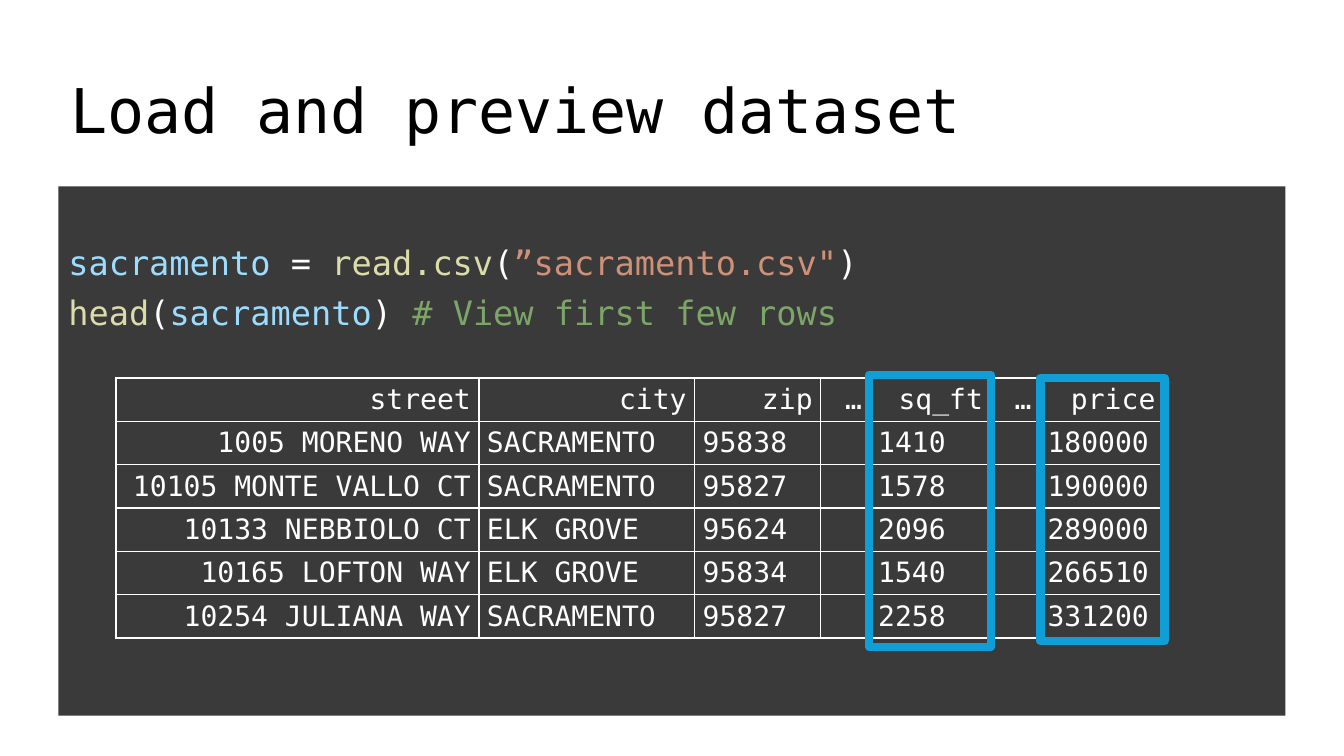
from lxml import etree
from pptx import Presentation
from pptx import util as u
from pptx.dml.color import RGBColor
from pptx.enum import shapes, text
from pptx.oxml import ns

PX = 9144
FONT = "DejaVu Sans Mono"
BLACK, WHITE, PANEL, HIGHLIGHT = "000000", "FFFFFF", "3A3A3A", "0F9ED5"
VARIABLE, FUNCTION, STRING, COMMENT = "9CDCFE", "DCDCAA", "CE9178", "7CA668"

CODE = [
    [("sacramento ", VARIABLE), ("= ", WHITE), ("read.csv", FUNCTION),
     ("(", WHITE), ("”sacramento.csv\"", STRING), (")", WHITE)],
    [("head", FUNCTION), ("(", WHITE), ("sacramento", VARIABLE),
     (") ", WHITE), ("# View first few rows", COMMENT)],
]
COLUMN_WIDTHS = [360, 214, 125, 49, 120, 48, 123]
ROW_HEIGHT = 43
HOUSES = [
    ["street", "city", "zip", "…", "sq_ft", "…", "price"],
    ["1005 MORENO WAY", "SACRAMENTO", "95838", "", "1410", "", "180000"],
    ["10105 MONTE VALLO CT", "SACRAMENTO", "95827", "", "1578", "", "190000"],
    ["10133 NEBBIOLO CT", "ELK GROVE", "95624", "", "2096", "", "289000"],
    ["10165 LOFTON WAY", "ELK GROVE", "95834", "", "1540", "", "266510"],
    ["10254 JULIANA WAY", "SACRAMENTO", "95827", "", "2258", "", "331200"],
]


def px(*lengths):
    return [u.Emu(length * PX) for length in lengths]


def color(value):
    return RGBColor.from_string(value)


def apply(target, values):
    for name, value in values.items():
        setattr(target, name, value)


class SlideBuilder:
    """Builds the elements of one slide in a shared style."""

    def __init__(self, presentation):
        self.slide = presentation.slides.add_slide(presentation.slide_layouts[5])

    def fill_paragraph(self, paragraph, runs, size, **layout):
        apply(paragraph, layout)
        for words, shade in runs:
            run = paragraph.add_run()
            run.text = words
            apply(run.font, {"name": FONT, "size": u.Pt(size)})
            run.font.color.rgb = color(shade)

    def title(self, words, box):
        title = self.slide.shapes.title
        apply(title, dict(zip(("left", "top", "width", "height"), px(*box))))
        apply(title.text_frame, {
            "vertical_anchor": text.MSO_ANCHOR.MIDDLE,
            "auto_size": text.MSO_AUTO_SIZE.NONE,
            "word_wrap": True,
        })
        self.fill_paragraph(
            title.text_frame.paragraphs[0], [(words, BLACK)], 44,
            alignment=text.PP_ALIGN.LEFT, line_spacing=0.9)

    def rectangle(self, box, fill=None, line=None, width=0):
        shape = self.slide.shapes.add_shape(
            shapes.MSO_SHAPE.RECTANGLE, *px(*box))
        shape.shadow.inherit = False
        if fill:
            shape.fill.solid()
            shape.fill.fore_color.rgb = color(fill)
        else:
            shape.fill.background()
        if line:
            shape.line.color.rgb = color(line)
            shape.line.width = u.Pt(width)
        else:
            shape.line.fill.background()
        return shape

    def code(self, lines, box, top_inset):
        frame = self.rectangle(box, fill=PANEL).text_frame
        apply(frame, {
            "vertical_anchor": text.MSO_ANCHOR.TOP,
            "word_wrap": True,
            "margin_top": px(top_inset)[0],
        })
        for index, runs in enumerate(lines):
            paragraph = frame.add_paragraph() if index else frame.paragraphs[0]
            self.fill_paragraph(
                paragraph, runs, 24, alignment=text.PP_ALIGN.LEFT,
                line_spacing=0.9, space_before=u.Pt(10 if index else 0))

    def borders(self, cell):
        properties = cell._tc.get_or_add_tcPr()
        for index, side in enumerate(("lnL", "lnR", "lnT", "lnB")):
            line = etree.Element(ns.qn(f"a:{side}"), w=str(u.Pt(1)))
            fill = etree.SubElement(line, ns.qn("a:solidFill"))
            etree.SubElement(fill, ns.qn("a:srgbClr"), val=WHITE)
            properties.insert(index, line)

    def table(self, rows, left, top):
        box = (left, top, sum(COLUMN_WIDTHS), ROW_HEIGHT * len(rows))
        table = self.slide.shapes.add_table(
            len(rows), len(COLUMN_WIDTHS), *px(*box)).table
        apply(table, {"first_row": False, "horz_banding": False})
        for column, width in zip(table.columns, px(*COLUMN_WIDTHS)):
            column.width = width
        for row_index, row in enumerate(rows):
            table.rows[row_index].height = px(ROW_HEIGHT)[0]
            for column_index, words in enumerate(row):
                cell = table.cell(row_index, column_index)
                side, edge = px(8, 4)
                apply(cell, {
                    "vertical_anchor": text.MSO_ANCHOR.MIDDLE,
                    "margin_left": side, "margin_right": side,
                    "margin_top": edge, "margin_bottom": edge,
                })
                cell.fill.background()
                self.borders(cell)
                right = row_index == 0 or column_index == 0
                align = text.PP_ALIGN.RIGHT if right else text.PP_ALIGN.LEFT
                runs = [(words, WHITE)] if words else []
                self.fill_paragraph(cell.text_frame.paragraphs[0], runs, 20,
                                    alignment=align)


def main():
    presentation = Presentation()
    width, height = px(1333, 750)
    apply(presentation, {"slide_width": width, "slide_height": height})
    builder = SlideBuilder(presentation)
    builder.title("Load and preview dataset", (60, 40, 1214, 145))
    builder.code(CODE, (58, 185, 1217, 525), top_inset=59)
    builder.table(HOUSES, 115, 375)
    for box in ((862, 372, 121, 270), (1032, 375, 123, 261)):
        builder.rectangle(box, line=HIGHLIGHT, width=6)
    presentation.save("out.pptx")


if __name__ == "__main__":
    main()
